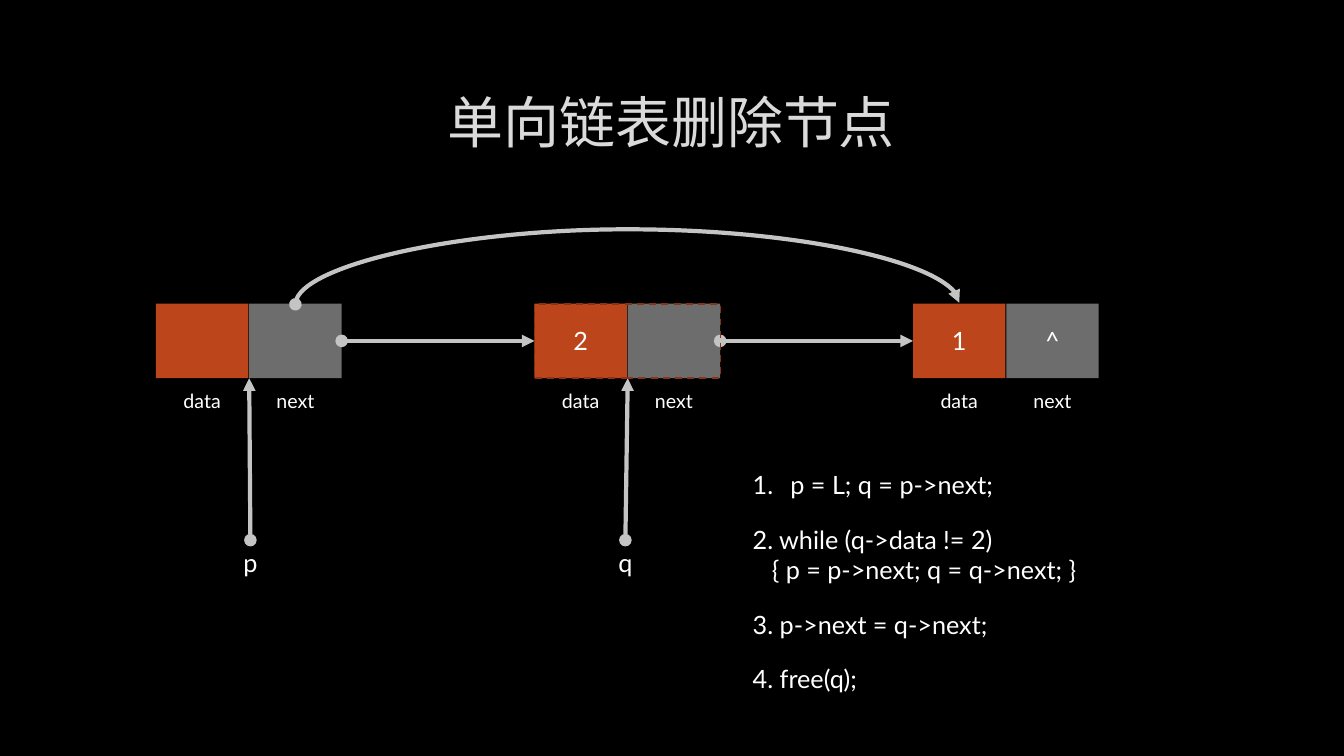
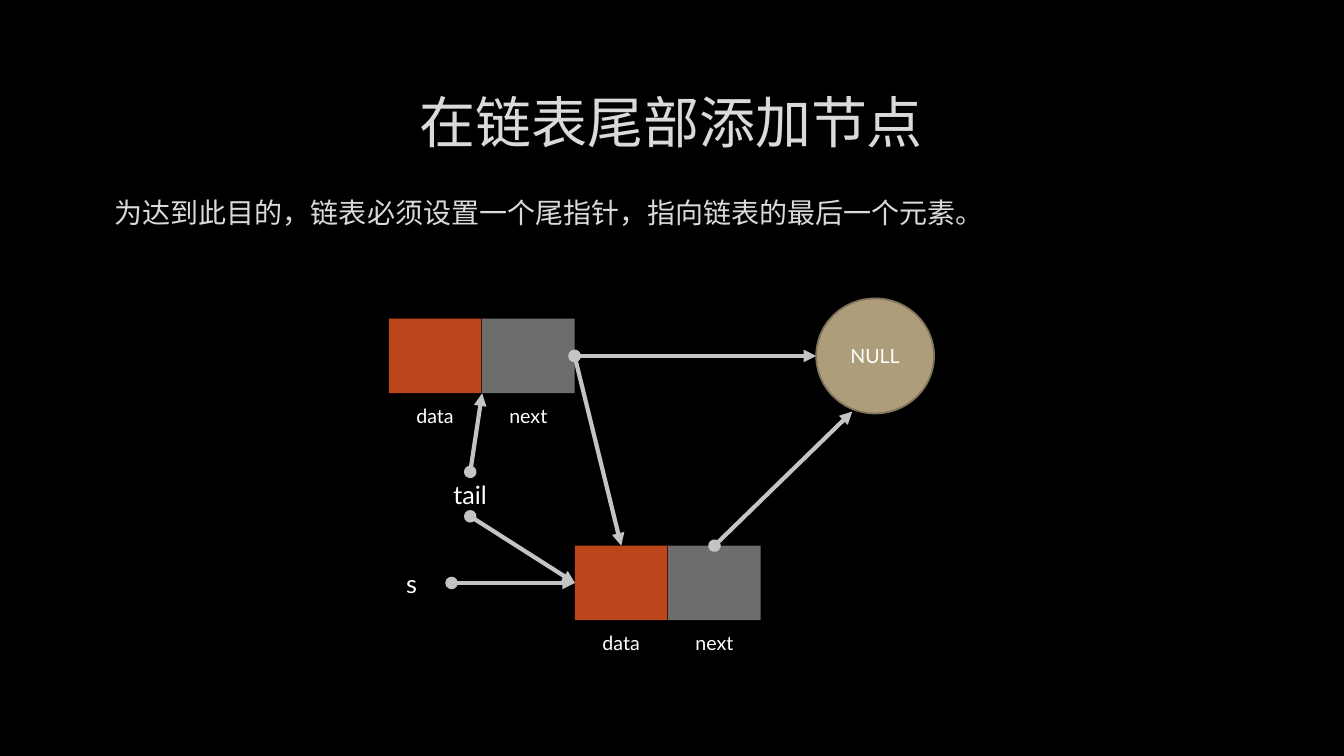
import dataclasses

import lxml.etree
import pptx
import pptx.dml.color
import pptx.enum.dml
import pptx.enum.shapes
import pptx.enum.text
import pptx.oxml.ns
import pptx.util

Cm = pptx.util.Cm
Pt = pptx.util.Pt
Preset = pptx.enum.shapes.MSO_SHAPE
Route = pptx.enum.shapes.MSO_CONNECTOR
Align = pptx.enum.text.PP_ALIGN
Anchor = pptx.enum.text.MSO_ANCHOR
qn = pptx.oxml.ns.qn

FONT = "Lato"
BLACK, WHITE, HEADING, HEADING_EDGE = "000000", "FFFFFF", "DADADA", "404040"
DATA, NEXT, ARROW = "BC451B", "6D6D6D", "C4C4C4"
REMOVED, NULL_FILL, NULL_EDGE = "8B3314", "AD9D7B", "80745B"
CELL_STEP, CELL_WIDTH, CELL_HEIGHT = 2.35, 2.33, 1.88
LABEL_WIDTH, LABEL_HEIGHT = 2.86, 1.12
NODE_STEP = 9.54


@dataclasses.dataclass
class Node:
    """Give the attachment points of a list node, in centimetres."""

    left: float
    top: float

    @property
    def entry(self):
        """Return the middle of the left side."""
        return self.left, self.top + CELL_HEIGHT / 2

    @property
    def exit(self):
        """Return the middle of the right side."""
        return self.left + CELL_STEP + CELL_WIDTH, self.top + CELL_HEIGHT / 2

    @property
    def joint(self):
        """Return the bottom point between the two cells."""
        return self.left + CELL_STEP, self.top + CELL_HEIGHT

    @property
    def data_top(self):
        """Return the top centre of the data cell."""
        return self.left + CELL_WIDTH / 2, self.top

    @property
    def next_top(self):
        """Return the top centre of the next cell."""
        return self.left + CELL_STEP + CELL_WIDTH / 2, self.top


def rgb(value):
    """Turn a hex string into a colour."""
    return pptx.dml.color.RGBColor.from_string(value)


def paint(fill, color):
    """Fill with one solid colour."""
    fill.solid()
    fill.fore_color.rgb = rgb(color)


def add_xml(parent, tag, **attributes):
    """Append a drawing element and return it."""
    return lxml.etree.SubElement(parent, qn(tag), attributes)


def write(paragraph, text, size, color=WHITE, align=Align.CENTER):
    """Add one formatted run to a paragraph and return it."""
    paragraph.alignment = align
    run = paragraph.add_run()
    run.text = text
    run.font.size = Pt(size)
    run.font.name = FONT
    paint(run.font.fill, color)
    return run


def add_frame(shapes, left, top, width, height, anchor=Anchor.MIDDLE):
    """Add a wrapping text box and return its text frame."""
    frame = shapes.add_textbox(Cm(left), Cm(top), Cm(width), Cm(height)).text_frame
    frame.word_wrap = True
    frame.vertical_anchor = anchor
    return frame


def add_label(shapes, text, left, top, width=LABEL_WIDTH, size=18):
    """Add a centred label."""
    frame = add_frame(shapes, left, top, width, LABEL_HEIGHT)
    write(frame.paragraphs[0], text, size)


def write_heading(paragraph, text, size, align):
    """Write heading text with its faint outline."""
    run = write(paragraph, text, size, HEADING, align)
    edge = lxml.etree.Element(qn("a:ln"), w=str(Pt(0.75)))
    color = add_xml(add_xml(edge, "a:solidFill"), "a:srgbClr", val=HEADING_EDGE)
    add_xml(color, "a:alpha", val="10000")
    run.font._element.insert(0, edge)


def add_titled_slide(deck, title):
    """Add a blank slide with a centred title."""
    slide = deck.slides.add_slide(deck.slide_layouts[6])
    frame = add_frame(slide.shapes, 2.54, 1.7, 28.75, 2.69)
    write_heading(frame.paragraphs[0], title, 40, Align.CENTER)
    return slide


def add_box(shapes, preset, left, top, width, height, fill=None, edge=None, text="", size=18):
    """Add a preset shape with optional fill, outline and text."""
    box = shapes.add_shape(preset, Cm(left), Cm(top), Cm(width), Cm(height))
    box.shadow.inherit = False
    if fill:
        paint(box.fill, fill)
    else:
        box.fill.background()
    if edge:
        paint(box.line.fill, edge)
        box.line.width = Pt(1.25)
    else:
        box.line.fill.background()
    if text:
        box.text_frame.vertical_anchor = Anchor.MIDDLE
        write(box.text_frame.paragraphs[0], text, size)
    return box


def add_node(slide, left, top, data="", link=""):
    """Draw a grouped node and return its geometry and group."""
    group = slide.shapes.add_group_shape()
    cells = (("data", DATA, data), ("next", NEXT, link))
    for index, (caption, fill, value) in enumerate(cells):
        x = left + index * CELL_STEP
        add_box(group.shapes, Preset.RECTANGLE, x, top, CELL_WIDTH, CELL_HEIGHT, fill, text=value)
        add_label(group.shapes, caption, x, top + CELL_HEIGHT, CELL_WIDTH, 14)
    return Node(left, top), group


def add_arrow(shapes, start, end, route=Route.STRAIGHT):
    """Draw a pointer from a dot to an arrowhead."""
    arrow = shapes.add_connector(route, *(Cm(value) for value in (*start, *end)))
    paint(arrow.line.fill, ARROW)
    arrow.line.width = Pt(3)
    edge = arrow.line._get_or_add_ln()
    add_xml(edge, "a:headEnd", type="oval")
    add_xml(edge, "a:tailEnd", type="triangle")
    add_xml(arrow.element.spPr, "a:effectLst")
    return arrow


def add_arch(shapes, start, end, rise):
    """Draw a curved pointer that arches over from start to end."""
    slope = 0.04
    middle, span = (start[0] + end[0]) / 2, end[0] - start[0]
    arch = add_arrow(
        shapes,
        (middle + slope / 2, start[1] + span / 2),
        (middle - slope / 2, start[1] - span / 2),
        Route.CURVE,
    )
    properties = arch.element.spPr
    properties.find(qn("a:xfrm")).set("rot", "5400000")
    guides = properties.find(qn("a:prstGeom")).get_or_add_avLst()
    bend = round(rise / slope * 100000)
    add_xml(guides, "a:gd", name="adj1", fmla=f"val {bend}")


def add_steps(shapes, left, top):
    """Stack the steps of the deletion algorithm."""
    steps = (
        ("p = L; q = p->next;",),
        ("2. while (q->data != 2)", "{ p = p->next; q = q->next; }"),
        ("3. p->next = q->next;",),
        ("4. free(q);",),
    )
    for number, lines in enumerate(steps):
        height = 1.02 + 0.77 * (len(lines) - 1)
        frame = add_frame(shapes, left, top, 13.23, height, Anchor.TOP)
        for index, line in enumerate(lines):
            paragraph = frame.add_paragraph() if index else frame.paragraphs[0]
            write(paragraph, line, 18, align=Align.LEFT)
            layout = paragraph._p.get_or_add_pPr()
            if index:
                layout.set("marL", str(Cm(0.48)))
            elif number == 0:
                layout.set("marL", str(Cm(0.95)))
                layout.set("indent", str(Cm(-0.95)))
                add_xml(layout, "a:buFont", typeface="+mj-lt")
                add_xml(layout, "a:buAutoNum", type="arabicPeriod")
        top += height + 0.35


def build_deletion(deck):
    """Show how a node is removed from a singly linked list."""
    slide = add_titled_slide(deck, "单向链表删除节点")
    shapes = slide.shapes
    values = (("", ""), ("2", ""), ("1", "^"))
    nodes = [
        add_node(slide, 3.93 + index * NODE_STEP, 7.65, *pair)[0]
        for index, pair in enumerate(values)
    ]
    first, removed, last = nodes
    for source, target in zip(nodes, nodes[1:]):
        add_arrow(shapes, source.exit, target.entry)
    for name, left, node in (("p", 4.88, first), ("q", 14.33, removed)):
        add_label(shapes, name, left, 13.61)
        add_arrow(shapes, (left + LABEL_WIDTH / 2, 13.61), node.joint)
    add_arch(shapes, first.next_top, last.data_top, 1.89)
    add_steps(shapes, 18.72, 11.71)
    outline = add_box(shapes, Preset.RECTANGLE, removed.left, 7.67, 4.69, 1.85, edge=REMOVED)
    outline.line.dash_style = pptx.enum.dml.MSO_LINE.DASH


def build_append(deck):
    """Show how a node is appended through a tail pointer."""
    slide = add_titled_slide(deck, "在链表尾部添加节点")
    shapes = slide.shapes
    intro = add_frame(shapes, 2.54, 4.8, 28.75, 1.19, Anchor.TOP).paragraphs[0]
    write_heading(intro, "为达到此目的，链表必须设置一个尾指针，指向链表的最后一个元素。", 20, Align.LEFT)
    intro.space_before, intro.space_after = Pt(4), Pt(6)
    intro._p.get_or_add_pPr().set("marL", str(Cm(0.1)))

    old_tail, _ = add_node(slide, 9.8, 8.03)
    add_label(shapes, "tail", 10.42, 11.89)
    add_box(shapes, Preset.OVAL, 20.57, 7.52, 2.97, 2.9, NULL_FILL, NULL_EDGE, "NULL", 14)
    add_arrow(shapes, old_tail.exit, (20.57, old_tail.exit[1]))
    added, added_group = add_node(slide, 14.49, 13.75)
    add_label(added_group.shapes, "s", 8.94, 14.13)
    add_arrow(added_group.shapes, (11.38, added.entry[1]), added.entry)
    add_arrow(shapes, old_tail.exit, added.data_top)
    add_arrow(shapes, added.next_top, (21.48, 10.37))
    add_arrow(shapes, (11.85, 11.89), old_tail.joint)
    add_arrow(shapes, (11.85, 13.01), added.entry)


def main():
    """Build and save the presentation."""
    deck = pptx.Presentation()
    deck.slide_width, deck.slide_height = Cm(33.87), Cm(19.05)
    paint(deck.slide_master.background.fill, BLACK)
    build_deletion(deck)
    build_append(deck)
    deck.save("out.pptx")


if __name__ == "__main__":
    main()
